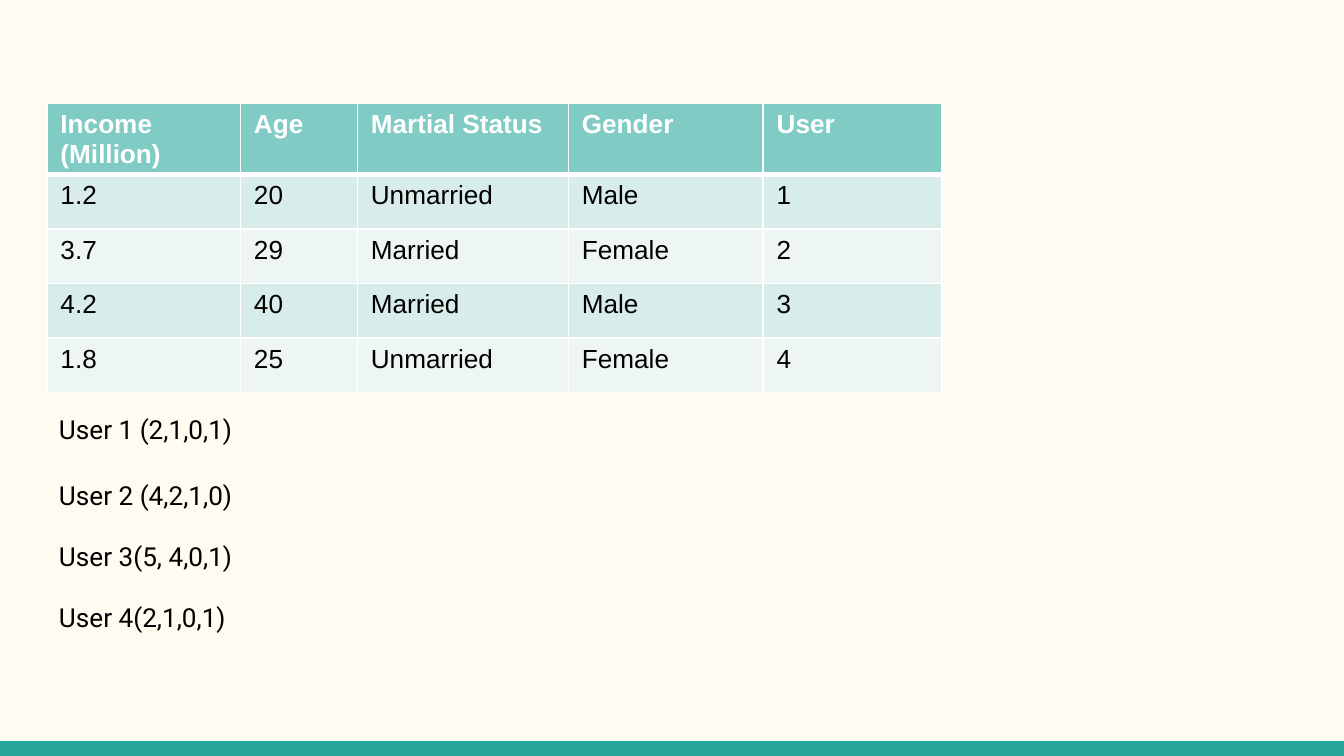
from pptx import Presentation
from pptx.dml.color import RGBColor
from pptx.enum.shapes import MSO_SHAPE
from pptx.oxml.ns import qn
from pptx.util import Inches, Pt
from lxml import etree

RECT = MSO_SHAPE.RECTANGLE
BLANK_LAYOUT = 6

COLORS = {
    "background": "FFFBF0",
    "bar": "26A69A",
    "header": "80CBC4",
    "odd": "D8ECEA",
    "even": "EDF6F5",
    "white": "FFFFFF",
    "black": "000000",
}

HEADERS = ["Income (Million)", "Age", "Martial Status", "Gender", "User"]
ROWS = [
    ["1.2", "20", "Unmarried", "Male", "1"],
    ["3.7", "29", "Married", "Female", "2"],
    ["4.2", "40", "Married", "Male", "3"],
    ["1.8", "25", "Unmarried", "Female", "4"],
]
VECTORS = [
    ("User 1 (2,1,0,1)", 1.15),
    ("User 2 (4,2,1,0)", 1.15),
    ("User 3(5, 4,0,1)", 1.0),
    ("User 4(2,1,0,1)", 1.0),
]

WIDTH = 10
HEIGHT = WIDTH * 9 / 16
BAR_HEIGHT = 0.11
LEFT, TABLE_TOP, VECTORS_TOP = 0.35, 0.77, 2.94
COL_WIDTHS = [1.44, 0.87, 1.57, 1.45, 1.33]
TABLE_HEIGHT = 2.03


def rgb(name):
    return RGBColor.from_string(COLORS[name])


def add_run(p, text, font, color, bold=False):
    r = p.add_run()
    r.text = text
    r.font.name = font
    r.font.size = Pt(14)
    r.font.bold = bold
    r.font.color.rgb = rgb(color)


def set_borders(cell, top, bottom):
    tc_pr = cell._tc.get_or_add_tcPr()
    sides = [("a:lnL", 1), ("a:lnR", 1), ("a:lnT", top), ("a:lnB", bottom)]
    for i, (tag, width) in enumerate(sides):
        ln = etree.Element(qn(tag), w=str(Pt(width)))
        fill = etree.SubElement(ln, qn("a:solidFill"))
        etree.SubElement(fill, qn("a:srgbClr"), val=COLORS["white"])
        tc_pr.insert(i, ln)


def add_user_table(s):
    rows = [HEADERS] + ROWS
    frame = s.shapes.add_table(
        len(rows), len(COL_WIDTHS), Inches(LEFT), Inches(TABLE_TOP),
        Inches(sum(COL_WIDTHS)), Inches(TABLE_HEIGHT))
    table = frame.table
    for col, width in zip(table.columns, COL_WIDTHS):
        col.width = Inches(width)
    for i, values in enumerate(rows):
        is_header = i == 0
        fill = "header" if is_header else ("odd" if i % 2 else "even")
        for j, value in enumerate(values):
            cell = table.cell(i, j)
            cell.margin_bottom = Inches(0.01 if is_header else 0.05)
            cell.fill.solid()
            cell.fill.fore_color.rgb = rgb(fill)
            set_borders(cell, 3 if i == 1 else 1, 3 if is_header else 1)
            add_run(cell.text_frame.paragraphs[0], value, "Arial",
                    "white" if is_header else "black", is_header)


def add_vectors(s):
    box = s.shapes.add_textbox(
        Inches(LEFT - 0.01), Inches(VECTORS_TOP), Inches(WIDTH - 2 * LEFT),
        Inches(HEIGHT - BAR_HEIGHT - VECTORS_TOP))
    tf = box.text_frame
    tf.word_wrap = True
    tf.margin_left = tf.margin_right = Inches(0.1)
    tf.margin_top = tf.margin_bottom = Inches(0.1)
    for i, (text, spacing) in enumerate(VECTORS):
        p = tf.add_paragraph() if i else tf.paragraphs[0]
        p.line_spacing = spacing
        p.space_after = Pt(16)
        add_run(p, text, "Roboto", "black")


def main():
    prs = Presentation()
    prs.slide_width, prs.slide_height = Inches(WIDTH), Inches(HEIGHT)
    s = prs.slides.add_slide(prs.slide_layouts[BLANK_LAYOUT])
    s.background.fill.solid()
    s.background.fill.fore_color.rgb = rgb("background")

    bar = s.shapes.add_shape(RECT, 0, Inches(HEIGHT - BAR_HEIGHT),
                             Inches(WIDTH), Inches(BAR_HEIGHT))
    bar.shadow.inherit = False
    bar.fill.solid()
    bar.fill.fore_color.rgb = rgb("bar")
    bar.line.fill.background()

    add_vectors(s)
    add_user_table(s)
    prs.save("out.pptx")


if __name__ == "__main__":
    main()
